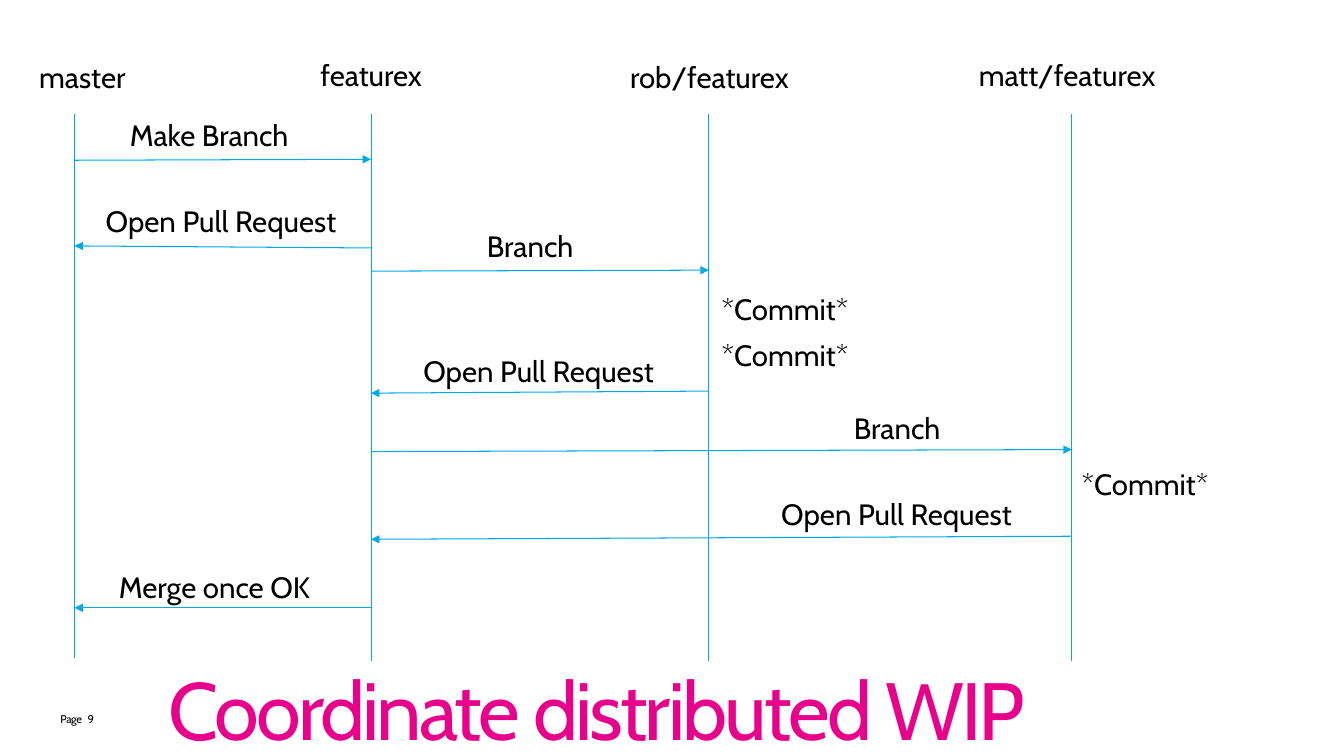
import dataclasses

import lxml.etree
import pptx
import pptx.dml.color
import pptx.enum.shapes
import pptx.enum.text
import pptx.oxml
import pptx.oxml.ns
import pptx.shapes.autoshape
import pptx.slide
import pptx.text.text
import pptx.util

Inches = pptx.util.Inches
Pt = pptx.util.Pt
RGBColor = pptx.dml.color.RGBColor
qn = pptx.oxml.ns.qn

BLACK = RGBColor(0x00, 0x00, 0x00)
BLUE = RGBColor(0x00, 0xAA, 0xEA)
PINK = RGBColor(0xE8, 0x01, 0x8B)
FONT = "Cabin"
LANE_TOP = 1.13


@dataclasses.dataclass
class Label:
    text: str
    left: float
    top: float
    width: float


@dataclasses.dataclass
class Lane:
    x: float
    foot: float
    label: Label


@dataclasses.dataclass
class Step:
    start: float
    end: float
    tail: float
    head: float
    label: Label


MASTER = Lane(0.74, 6.53, Label("master", 0.29, 0.54, 1.08))
FEATURE = Lane(3.68, 6.56, Label("featurex", 3.08, 0.52, 1.25))
ROB = Lane(7.03, 6.56, Label("rob/featurex", 6.15, 0.54, 1.81))
MATT = Lane(10.63, 6.56, Label("matt/featurex", 9.61, 0.52, 1.97))
LANES = [MASTER, FEATURE, ROB, MATT]

PULL = "Open Pull Request"
STEPS = [
    Step(MASTER.x, FEATURE.x, 1.59, 1.58, Label("Make Branch", 1.19, 1.11, 1.88)),
    Step(FEATURE.x, MASTER.x, 2.46, 2.44, Label(PULL, 0.95, 1.97, 2.6)),
    Step(FEATURE.x, ROB.x, 2.69, 2.68, Label("Branch", 4.73, 2.21, 1.09)),
    Step(ROB.x, FEATURE.x, 3.88, 3.9, Label(PULL, 4.1, 3.45, 2.6)),
    Step(FEATURE.x, MATT.x, 4.48, 4.46, Label("Branch", 8.37, 4.02, 1.09)),
    Step(MATT.x, FEATURE.x, 5.32, 5.35, Label(PULL, 7.65, 4.87, 2.6)),
    Step(FEATURE.x, MASTER.x, 6.03, 6.03, Label("Merge once OK", 1.08, 5.6, 2.23)),
]

COMMITS = [
    Label("*Commit*", left, top, 1.48)
    for left, top in [(7.06, 2.84), (7.06, 3.29), (10.63, 4.57)]
]

FOOTER = [Label("Page", 0.6, 7.07, 0.3), Label("9", 0.87, 7.07, 0.24)]


def style(frame: pptx.text.text.TextFrame, size: float, color: RGBColor, gap: int = 0) -> None:
    for run in frame.paragraphs[0].runs:
        run.font.name = FONT
        run.font.size = Pt(size)
        run.font.color.rgb = color
        if gap:
            run.font._element.set("spc", str(gap))


def trim(frame: pptx.text.text.TextFrame) -> None:
    frame.margin_left = frame.margin_right = 0
    frame.margin_top = frame.margin_bottom = 0


def add_text(slide: pptx.slide.Slide, label: Label, height: float) -> pptx.text.text.TextFrame:
    box = slide.shapes.add_textbox(
        Inches(label.left), Inches(label.top), Inches(label.width), Inches(height)
    )
    box.text_frame.text = label.text
    return box.text_frame


def add_label(slide: pptx.slide.Slide, label: Label) -> None:
    frame = add_text(slide, label, 0.45)
    frame.word_wrap = False
    frame.auto_size = pptx.enum.text.MSO_AUTO_SIZE.SHAPE_TO_FIT_TEXT
    style(frame, 21, BLACK)


def add_foot(slide: pptx.slide.Slide, label: Label) -> None:
    frame = add_text(slide, label, 0.34)
    frame.word_wrap = True
    trim(frame)
    style(frame, 8, BLACK, -30)


def add_line(
    slide: pptx.slide.Slide, x1: float, y1: float, x2: float, y2: float, arrow: bool = False
) -> None:
    line = slide.shapes.add_connector(
        pptx.enum.shapes.MSO_CONNECTOR.STRAIGHT,
        Inches(x1), Inches(y1), Inches(x2), Inches(y2),
    )
    line.line.color.rgb = BLUE
    line.line.width = Pt(0.75)
    props = line._element.spPr
    if arrow:
        lxml.etree.SubElement(props.find(qn("a:ln")), qn("a:tailEnd"), type="triangle")
    lxml.etree.SubElement(props, qn("a:effectLst"))


def add_title(slide: pptx.slide.Slide, text: str) -> None:
    title = slide.shapes.title
    title.left, title.top = Inches(1.67), Inches(6.26)
    title.width, title.height = Inches(10.99), Inches(1.25)
    frame = title.text_frame
    frame.text = text
    frame.word_wrap = True
    frame.auto_size = pptx.enum.text.MSO_AUTO_SIZE.NONE
    frame.vertical_anchor = pptx.enum.text.MSO_ANCHOR.BOTTOM
    trim(frame)
    frame.paragraphs[0].alignment = pptx.enum.text.PP_ALIGN.LEFT
    frame.paragraphs[0].line_spacing = Pt(50)
    style(frame, 58, PINK, -200)


def main() -> None:
    deck = pptx.Presentation()
    deck.slide_width, deck.slide_height = Inches(13.33), Inches(7.5)
    slide = deck.slides.add_slide(deck.slide_layouts[5])
    add_title(slide, "Coordinate distributed WIP")
    for label in FOOTER:
        add_foot(slide, label)
    for lane in LANES:
        add_label(slide, lane.label)
        add_line(slide, lane.x, LANE_TOP, lane.x, lane.foot)
    for step in STEPS:
        add_line(slide, step.start, step.tail, step.end, step.head, arrow=True)
        add_label(slide, step.label)
    for label in COMMITS:
        add_label(slide, label)
    deck.save("out.pptx")


if __name__ == "__main__":
    main()
